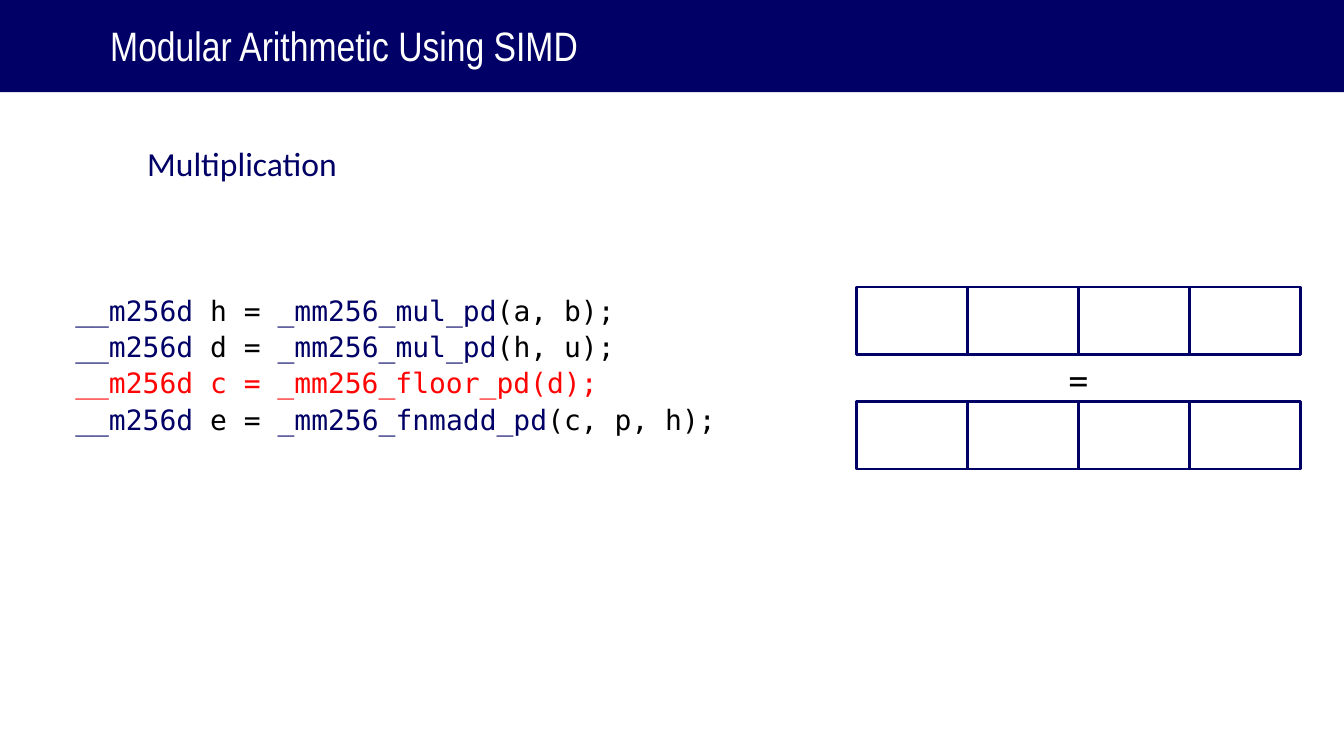
from lxml import etree
from pptx import Presentation
from pptx.dml.color import RGBColor
from pptx.enum.shapes import MSO_SHAPE
from pptx.enum.text import MSO_ANCHOR, MSO_AUTO_SIZE, PP_ALIGN
from pptx.oxml.ns import qn
from pptx.util import Inches, Pt

RECT = MSO_SHAPE.RECTANGLE
TOP = MSO_ANCHOR.TOP
NO_FIT = MSO_AUTO_SIZE.NONE
LEFT, CENTER = PP_ALIGN.LEFT, PP_ALIGN.CENTER

COLORS = {"navy": "000066", "black": "000000", "white": "FFFFFF", "red": "FF0404"}

CODE = [
    [("__m256d ", "navy"), ("h = ", "black"), ("_mm256_mul_pd", "navy"), ("(a, b);", "black")],
    [("__m256d ", "navy"), ("d = ", "black"), ("_mm256_mul_pd", "navy"), ("(h, u);", "black")],
    [("__m256d c = _mm256_floor_pd(d);", "red")],
    [("__m256d ", "navy"), ("e = ", "black"), ("_mm256_fnmadd_pd", "navy"), ("(c, p, h);", "black")],
]


def color(name):
    return RGBColor.from_string(COLORS[name])


def place(sp, box):
    for name, value in zip(("left", "top", "width", "height"), box):
        setattr(sp, name, Inches(value))


def write(sp, lines, font, size, spacing, align=LEFT, wrap=True):
    tf = sp.text_frame
    frame_format = {"margin_left": 0, "margin_top": 0, "margin_right": 0, "margin_bottom": 0,
                    "word_wrap": wrap, "auto_size": NO_FIT, "vertical_anchor": TOP}
    for name, value in frame_format.items():
        setattr(tf, name, value)
    for i, line in enumerate(lines):
        p = tf.add_paragraph() if i else tf.paragraphs[0]
        for name, value in {"alignment": align, "line_spacing": Pt(spacing), "space_before": Pt(0)}.items():
            setattr(p, name, value)
        for text, tint in line:
            r = p.add_run()
            r.text = text
            for name, value in {"name": font, "size": Pt(size)}.items():
                setattr(r.font, name, value)
            r.font.color.rgb = color(tint)


def add_rect(s, box):
    sp = s.shapes.add_shape(RECT, *map(Inches, box))
    sp.shadow.inherit = False
    return sp


def add_banner(s, box):
    x, y, w, h = box
    sp = add_rect(s, box)
    sp.fill.solid()
    sp.fill.fore_color.rgb = color("navy")
    sp.line.fill.background()
    title = s.shapes.title
    sp.element.addnext(title.element)
    place(title, (x + 1.64, y + 0.37, 10.12, 0.68))
    write(title, [[("Modular Arithmetic Using SIMD", "white")]], "Arial Narrow", 44, 47.5)


def add_subtitle(s, box):
    body = s.placeholders[1]
    place(body, box)
    write(body, [[("Multiplication", "navy")]], "Calibri", 36, 43.2)
    pPr = body.text_frame.paragraphs[0]._p.get_or_add_pPr()
    pPr.set("marL", "0")
    pPr.set("indent", "0")
    etree.SubElement(pPr, qn("a:buNone"))


def add_code(s, box):
    sp = s.shapes.add_textbox(*map(Inches, box))
    write(sp, CODE, "DejaVu Sans Mono", 30, 39)


def add_register(s, box, lanes=4):
    x, y, w, h = box
    lane_w = w / lanes
    for i in range(lanes):
        sp = add_rect(s, (x + i * lane_w, y, lane_w, h))
        sp.fill.background()
        sp.line.color.rgb = color("navy")
        sp.line.width = Pt(3)


def add_registers(s, box):
    x, y, w, h = box
    row_h = 1.01
    for top in (y, y + h - row_h):
        add_register(s, (x, top, w, row_h))
    sign_w = 0.31
    sp = s.shapes.add_textbox(*map(Inches, (x + (w - sign_w) / 2, y + 0.93, sign_w, 0.77)))
    write(sp, [[("=", "black")]], "Calibri", 44.5, 57.8, CENTER, False)


def main():
    prs = Presentation()
    prs.slide_width, prs.slide_height = Inches(20), Inches(11.25)
    s = prs.slides.add_slide(prs.slide_layouts[1])
    add_registers(s, (12.75, 4.27, 6.6, 2.71))
    add_banner(s, (0, 0, 20, 1.37))
    add_subtitle(s, (2.19, 2.12, 4.1, 0.59))
    add_code(s, (1.12, 4.32, 11.45, 2.17))
    prs.save("out.pptx")


if __name__ == "__main__":
    main()
